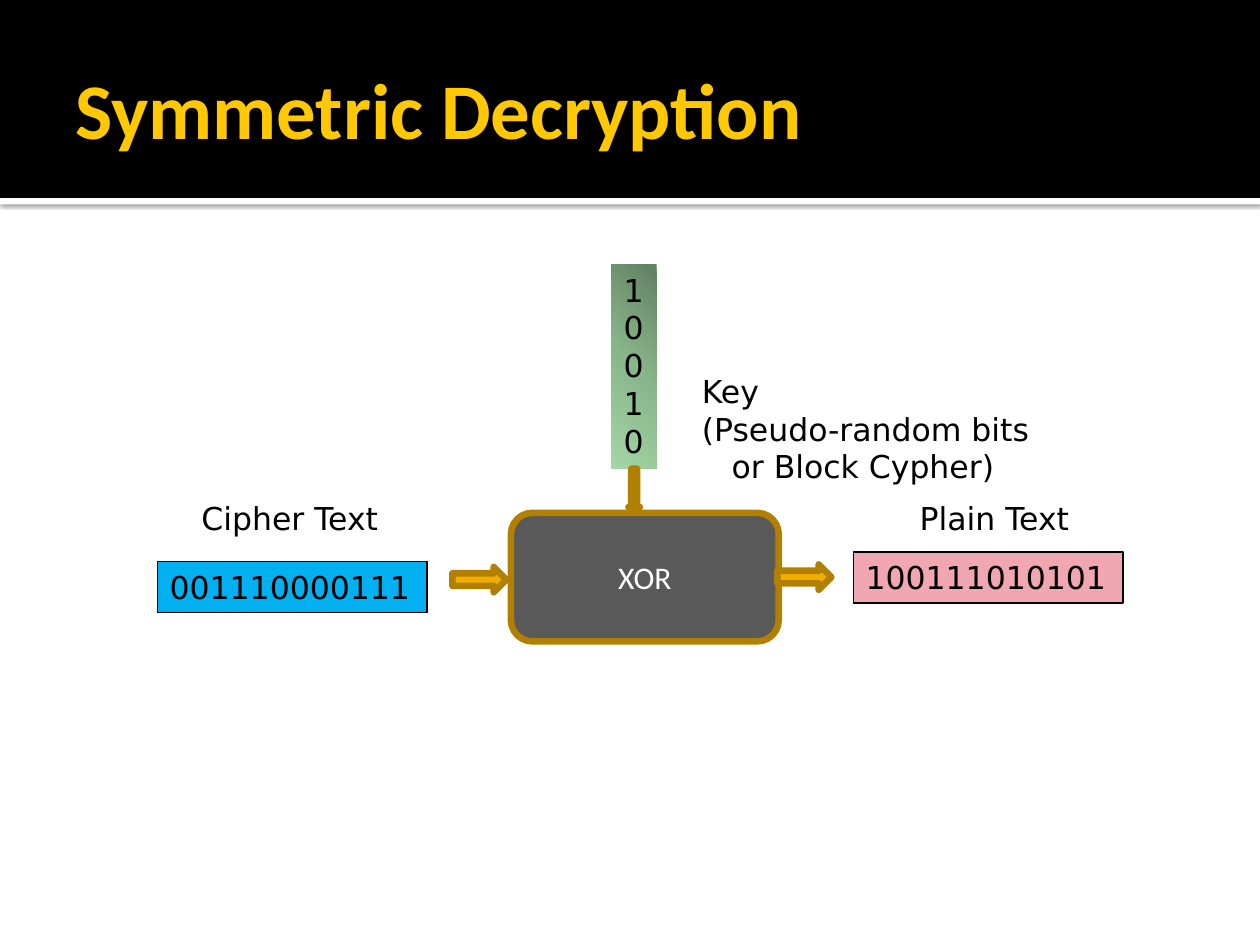
from copy import deepcopy

from lxml.etree import SubElement
from pptx import Presentation
from pptx.dml.color import RGBColor
from pptx.enum.shapes import MSO_SHAPE as Shape
from pptx.enum.text import MSO_ANCHOR as Anchor, MSO_AUTO_SIZE as AutoSize, PP_ALIGN as Align
from pptx.oxml.ns import qn
from pptx.util import Cm, Pt

BODY_FONT = "DejaVu Sans"
HEADING_FONT = "Calibri"
GOLD, DARK_GOLD = "F0AD00", "B28000"


def rgb(value):
    return RGBColor.from_string(value)


def write_text(shape, text, size=18, font=BODY_FONT, color="000000", bold=False,
               align=Align.LEFT, anchor=Anchor.TOP, wrap=False):
    """Put one paragraph per line of text; unwrapped text sizes its shape."""
    frame = shape.text_frame
    frame.word_wrap = wrap
    frame.auto_size = AutoSize.NONE if wrap else AutoSize.SHAPE_TO_FIT_TEXT
    frame.vertical_anchor = anchor
    for index, line in enumerate(text.split("\n")):
        paragraph = frame.add_paragraph() if index else frame.paragraphs[0]
        paragraph.alignment = align
        run = paragraph.add_run()
        run.text = line
        run.font.size, run.font.name, run.font.bold = Pt(size), font, bold
        run.font.color.rgb = rgb(color)


def add_block(slide, kind, box, fill, line=None, line_width=0.75):
    shape = slide.shapes.add_shape(kind, *map(Cm, box))
    shape.shadow.inherit = False
    shape.fill.solid()
    shape.fill.fore_color.rgb = rgb(fill)
    if line:
        shape.line.color.rgb = rgb(line)
        shape.line.width = Pt(line_width)
    else:
        shape.line.fill.background()
    return shape


def add_label(slide, box, text, **text_format):
    label = slide.shapes.add_textbox(*map(Cm, box))
    write_text(label, text, **text_format)
    return label


def add_bits(slide, box, bits, fill, line=None):
    shape = add_block(slide, Shape.RECTANGLE, box, fill, line)
    write_text(shape, bits)
    return shape


def add_arrow(slide, kind, box):
    add_block(slide, kind, box, GOLD, DARK_GOLD, 3.78)


def drop_shadow(shape, blur, distance, opacity):
    """Cast a black shadow straight down."""
    effects = shape._element.spPr.find(qn("a:effectLst"))
    shadow = SubElement(effects, qn("a:outerShdw"), blurRad=str(Pt(blur)),
                        dist=str(Pt(distance)), dir="5400000", rotWithShape="0")
    color = SubElement(shadow, qn("a:srgbClr"), val="000000")
    SubElement(color, qn("a:alpha"), val=str(opacity * 1000))


def shade(shape, colors):
    """Blend evenly spaced colours from top right to bottom left."""
    shape.fill.gradient()
    shape.fill.gradient_angle = 225
    stop_list = shape._element.spPr.find(qn("a:gradFill")).find(qn("a:gsLst"))
    while len(stop_list) < len(colors):
        stop_list.append(deepcopy(stop_list[0]))
    for index, (stop, color) in enumerate(zip(shape.fill.gradient_stops, colors)):
        stop.position = index / (len(colors) - 1)
        stop.color.rgb = rgb(color)


def add_header(slide):
    rule = add_block(slide, Shape.RECTANGLE, (0, 3.99, 25.4, 0.13), "FFFFFF")
    drop_shadow(rule, blur=2.5, distance=0.8, opacity=60)
    add_block(slide, Shape.RECTANGLE, (0, 0, 25.4, 3.99), "000000")
    add_label(slide, (1.27, 0.43, 23.62, 3.48), "Symmetric Decryption", size=45,
              font=HEADING_FONT, color="FFC800", bold=True, anchor=Anchor.MIDDLE, wrap=True)


def add_key(slide):
    key = add_bits(slide, (12.32, 5.33, 0.92, 4.12), "1\n0\n0\n1\n0", "89B58A")
    shade(key, ["608061", "89B58A", "A3D7A4"])
    label = add_label(slide, (13.9, 7.37, 7.24, 2.57),
                      "Key\n(Pseudo-random bits\nor Block Cypher)")
    last_line = label.text_frame.paragraphs[-1]
    last_line._p.get_or_add_pPr().set("marL", str(Cm(0.6)))


def main():
    presentation = Presentation()
    presentation.slide_width, presentation.slide_height = Cm(25.4), Cm(19.05)
    slide = presentation.slides.add_slide(presentation.slide_layouts[6])

    add_header(slide)
    gate = add_block(slide, Shape.ROUNDED_RECTANGLE, (10.3, 10.34, 5.4, 2.59),
                     "595959", DARK_GOLD, 3.78)
    write_text(gate, "XOR", font=HEADING_FONT, color="FFFFFF", align=Align.CENTER,
               anchor=Anchor.MIDDLE, wrap=True)
    add_key(slide)
    add_bits(slide, (3.17, 11.32, 5.44, 1.03), "001110000111", "00B0F0", "000000")
    add_bits(slide, (17.2, 11.13, 5.44, 1.03), "100111010101", "F0A7B1", "000000")
    add_label(slide, (3.81, 9.93, 4.17, 1.03), "Cipher Text")
    add_label(slide, (18.29, 9.93, 3.61, 1.03), "Plain Text")

    add_arrow(slide, Shape.RIGHT_ARROW, (9.12, 11.43, 1.09, 0.51))
    add_arrow(slide, Shape.RIGHT_ARROW, (15.67, 11.38, 1.09, 0.51))
    add_arrow(slide, Shape.DOWN_ARROW, (12.67, 9.45, 0.23, 0.89))
    presentation.save("out.pptx")


if __name__ == "__main__":
    main()
